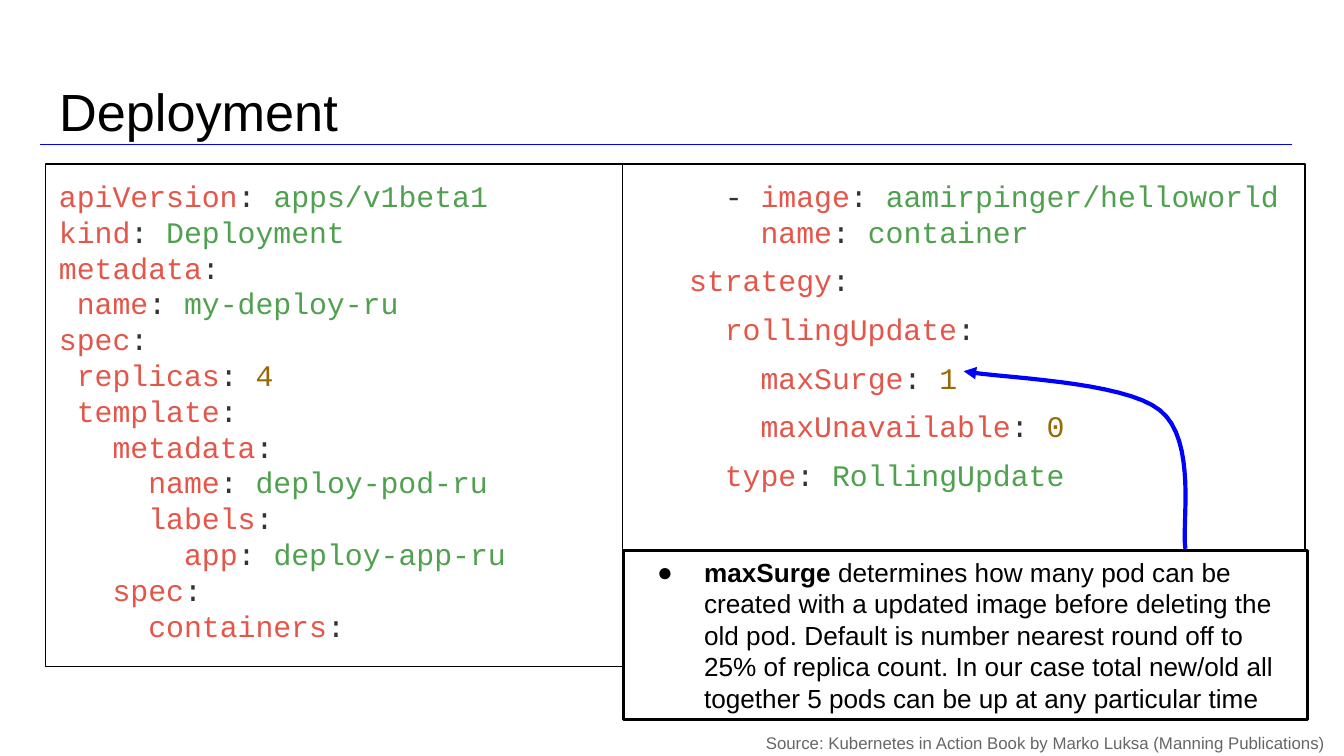
from pptx import Presentation
from pptx.dml.color import RGBColor
from pptx.enum.shapes import MSO_CONNECTOR, MSO_SHAPE
from pptx.enum.text import MSO_ANCHOR, MSO_AUTO_SIZE, PP_ALIGN
from pptx.oxml.ns import qn
from pptx.util import Inches, Pt
from lxml import etree

RECT = MSO_SHAPE.RECTANGLE
LINE = MSO_CONNECTOR.STRAIGHT
TOP, MIDDLE = MSO_ANCHOR.TOP, MSO_ANCHOR.MIDDLE
LEFT = PP_ALIGN.LEFT
NO_FIT = MSO_AUTO_SIZE.NONE

BLACK = RGBColor(0x00, 0x00, 0x00)
WHITE = RGBColor(0xFF, 0xFF, 0xFF)
BLUE = RGBColor(0x00, 0x00, 0xFF)
GRAY = RGBColor(0x66, 0x66, 0x66)
DARK = RGBColor(0x33, 0x33, 0x33)
RED = RGBColor(0xE4, 0x56, 0x49)
GREEN = RGBColor(0x50, 0xA1, 0x4F)
BROWN = RGBColor(0x98, 0x68, 0x01)

TITLE = "Deployment"
SOURCE = "Source: Kubernetes in Action Book by Marko Luksa (Manning Publications)"
TERM = "maxSurge"
NOTE = (
    " determines how many pod can be created with a updated image before "
    "deleting the old pod. Default is number nearest round off to 25% of "
    "replica count. In our case total new/old all together 5 pods can be up "
    "at any particular time"
)
PANES = [
    {
        "area": (3.4, 21.71, 42.9, 66.5),
        "tight": 13,
        "code": [
            "apiVersion: apps/v1beta1",
            "kind: Deployment",
            "metadata:",
            " name: my-deploy-ru",
            "spec:",
            " replicas: 4",
            " template:",
            "   metadata:",
            "     name: deploy-pod-ru",
            "     labels:",
            "       app: deploy-app-ru",
            "   spec:",
            "     containers:",
        ],
    },
    {
        "area": (46.3, 21.71, 50.8, 66.5),
        "tight": 2,
        "code": [
            "     - image: aamirpinger/helloworld",
            "       name: container",
            "   strategy:",
            "     rollingUpdate:",
            "       maxSurge: 1",
            "       maxUnavailable: 0",
            "     type: RollingUpdate",
        ],
    },
]
START = (71.7, 49.11)
CURVES = [
    [(74.2, 50), (83.6, 50.36), (86.3, 54.27)],
    [(89.1, 58.19), (87.9, 69.57), (88.2, 72.6)],
]
STEPS = 16

deck = Presentation()
deck.slide_width = Inches(10)
deck.slide_height = deck.slide_width * 9 // 16
slide = deck.slides.add_slide(deck.slide_layouts[5])
shapes = slide.shapes


def spot(x, y):
    return round(deck.slide_width * x / 100), round(deck.slide_height * y / 100)


def place(x, y, wide, high):
    return (*spot(x, y), *spot(wide, high))


def put(shape, paras, size, font="Arial", anchor=TOP, gaps=None, bullet=None):
    frame = shape.text_frame
    frame.word_wrap = True
    frame.auto_size = NO_FIT
    frame.vertical_anchor = anchor
    frame.margin_left = frame.margin_right = Inches(0.1)
    frame.margin_top = frame.margin_bottom = Inches(0.1)
    for i, runs in enumerate(paras):
        para = frame.paragraphs[0] if i == 0 else frame.add_paragraph()
        para.alignment = LEFT
        para.line_spacing = gaps[i] if gaps else 1.0
        if bullet:
            props = para._p.get_or_add_pPr()
            props.set("marL", str(Inches(0.5)))
            props.set("indent", str(Inches(-0.35)))
            tint_el = etree.SubElement(props, qn("a:buClr"))
            etree.SubElement(tint_el, qn("a:srgbClr"), val=str(BLACK))
            etree.SubElement(props, qn("a:buSzPts"), val=str(size * 100))
            etree.SubElement(props, qn("a:buFont"), typeface=font)
            etree.SubElement(props, qn("a:buChar"), char=bullet)
        for text, color, bold in runs:
            run = para.add_run()
            run.text = text
            run.font.name = font
            run.font.size = Pt(size)
            run.font.bold = bold
            run.font.color.rgb = color


def frame_box(area, width, fill=None):
    box = shapes.add_shape(RECT, *place(*area))
    box.shadow.inherit = False
    if fill is None:
        box.fill.background()
    else:
        box.fill.solid()
        box.fill.fore_color.rgb = fill
    box.line.color.rgb = BLACK
    box.line.width = Pt(width)
    return box


def tint(line):
    head, _, value = line.partition(":")
    key = head.lstrip(" -")
    lead = head[:len(head) - len(key)]
    value = value.strip()
    runs = [(lead, DARK, False), (key, RED, False),
            (": " if value else ":", DARK, False),
            (value, BROWN if value.isdigit() else GREEN, False)]
    return [run for run in runs if run[0]]


def bend(start, curve):
    points = [start, *curve]
    for step in range(1, STEPS + 1):
        t = step / STEPS
        parts = ((1 - t) ** 3, 3 * t * (1 - t) ** 2, 3 * t ** 2 * (1 - t), t ** 3)
        yield spot(*(sum(p * point[axis] for p, point in zip(parts, points))
                     for axis in (0, 1)))


source = shapes.add_textbox(*place(56, 95.2, 44, 4.63))
put(source, [[(SOURCE, GRAY, False)]], 9)

rule = shapes.add_connector(LINE, *spot(3, 19.15), *spot(96.1, 19.15))
rule.line.color.rgb = BLUE
rule.line.width = Pt(0.75)
etree.SubElement(rule._element.spPr, qn("a:effectLst"))

title = shapes.title
title.left, title.top, title.width, title.height = place(3.4, 8.72, 93.2, 11.21)
put(title, [[(TITLE, BLACK, False)]], 28)

for pane in PANES:
    code = pane["code"]
    gaps = [1.0 if i < pane["tight"] else 1.36 for i in range(len(code))]
    put(frame_box(pane["area"], 0.75), [tint(line) for line in code], 16,
        font="Courier New", gaps=gaps)

curve_line = shapes.build_freeform(*spot(*START), scale=1.0)
begin = START
for curve in CURVES:
    curve_line.add_line_segments(list(bend(begin, curve)), close=False)
    begin = curve[-1]
arrow = curve_line.convert_to_shape()
arrow.shadow.inherit = False
arrow.fill.background()
arrow.line.color.rgb = BLUE
arrow.line.width = Pt(2.25)
etree.SubElement(arrow.line._get_or_add_ln(), qn("a:headEnd"), type="triangle")

note = frame_box((46.4, 72.78, 50.9, 22.42), 1.5, WHITE)
put(note, [[(TERM, BLACK, True), (NOTE, BLACK, False)]], 14,
    anchor=MIDDLE, bullet="●")

deck.save("out.pptx")
